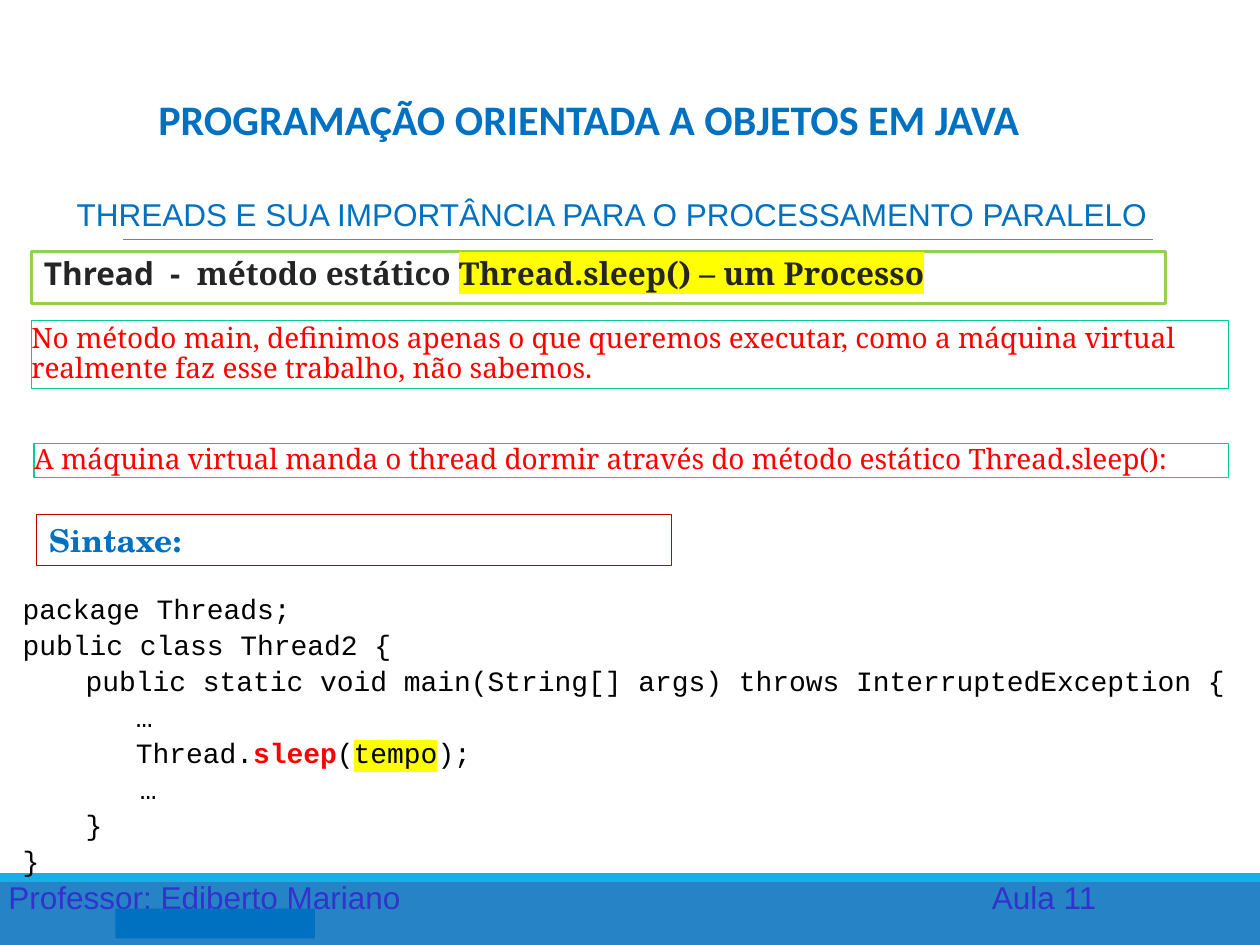
import pptx
import pptx.util
import pptx.dml.color
import pptx.enum.shapes
import pptx.enum.text
import pptx.oxml
import pptx.oxml.ns
from lxml import etree

Pt = pptx.util.Pt
ALIGN = pptx.enum.text.PP_ALIGN
ANCHOR = pptx.enum.text.MSO_ANCHOR

THEME = {
    "blue": "0070C0", "band": "2683C6", "band edge": "1CADE4", "rule": "7F7F7F",
    "footer": "3333CC", "code": "000000", "red": "FF0000", "dark": "252525",
    "teal": "00CC99", "green": "92D050", "crimson": "C00000", "marker": "FFFF00",
    "title size": 24, "heading size": 18, "body size": 16,
}


def color(name):
    return pptx.dml.color.RGBColor.from_string(THEME[name])


def add_box(place, paragraphs=(), fill=None, line=None, margins=(7.2, 3.6),
            anchor=ANCHOR.TOP, tab=None, **para_format):
    """Add a rectangle; each paragraph is a list of (text, style) spans."""
    box = slide.shapes.add_shape(
        pptx.enum.shapes.MSO_SHAPE.RECTANGLE, *map(Pt, place)
    ) if fill or line else slide.shapes.add_textbox(*map(Pt, place))
    if fill or line:
        box.shadow.inherit = False
    if fill:
        box.fill.solid()
        box.fill.fore_color.rgb = color(fill)
    else:
        box.fill.background()
    if line:
        box.line.color.rgb = color(line[0])
        box.line.width = Pt(line[1])
    else:
        box.line.fill.background()

    frame = box.text_frame
    side, end = map(Pt, margins)
    frame_format = {"word_wrap": True, "vertical_anchor": anchor,
                    "margin_left": side, "margin_right": side,
                    "margin_top": end, "margin_bottom": end}
    for key, value in frame_format.items():
        setattr(frame, key, value)

    for index, spans in enumerate(paragraphs):
        para = frame.add_paragraph() if index else frame.paragraphs[0]
        if tab:
            tabs = etree.SubElement(para._p.get_or_add_pPr(), pptx.oxml.ns.qn("a:tabLst"))
            etree.SubElement(tabs, pptx.oxml.ns.qn("a:tab"), pos=str(Pt(tab)), algn="l")
        for key, value in {"alignment": ALIGN.LEFT, **para_format}.items():
            setattr(para, key, value)
        for text, style in spans:
            span = para.add_run()
            span.text = text
            font_format = {"name": style["font"], "size": Pt(THEME[style["size"]]),
                           "bold": style.get("bold", False)}
            for key, value in font_format.items():
                setattr(span.font, key, value)
            span.font.color.rgb = color(style["color"])
            if style.get("marked"):
                highlight = etree.Element(pptx.oxml.ns.qn("a:highlight"))
                etree.SubElement(highlight, pptx.oxml.ns.qn("a:srgbClr"), val=THEME["marker"])
                span.font._element.find(pptx.oxml.ns.qn("a:solidFill")).addnext(highlight)
    return box


deck = pptx.Presentation()
deck.slide_width, deck.slide_height = Pt(720), Pt(540)
slide = deck.slides.add_slide(deck.slide_layouts[6])

# Text styles
title = {"font": "Calibri", "size": "title size", "color": "blue", "bold": True}
subtitle = {"font": "Arial", "size": "heading size", "color": "blue"}
footer = {**subtitle, "color": "footer"}
topic = {"font": "Noto Serif", "size": "heading size", "color": "dark", "bold": True}
statement = {"font": "Noto Serif", "size": "body size", "color": "red"}
syntax = {**title, "font": "TeX Gyre Schola", "size": "heading size"}
code = {"font": "Courier New", "size": "body size", "color": "code"}

# Footer band and rule under the subtitle
add_box((0, 499, 720, 41), fill="band")
add_box((0, 499, 720, 5), fill="band edge")
rule = slide.shapes.add_connector(
    pptx.enum.shapes.MSO_CONNECTOR.STRAIGHT, Pt(70.5), Pt(136.8), Pt(659), Pt(136.8))
rule.line.color.rgb = color("rule")
rule.line.width = Pt(0.5)
etree.SubElement(rule._element.spPr, pptx.oxml.ns.qn("a:effectLst"))
add_box((-2.2, 498.2, 648, 29), [[("Professor: Ediberto Mariano\tAula 11", footer)]], tab=562)
add_box((66, 519.2, 114, 17), fill="blue")

# Title and subtitle
add_box((74, 48.2, 525, 37.5), [[("PROGRAMAÇÃO ORIENTADA A OBJETOS EM JAVA", title)]],
        anchor=ANCHOR.BOTTOM, alignment=ALIGN.CENTER)
add_box((36.7, 106.5, 660, 29.5),
        [[("THREADS E SUA IMPORTÂNCIA PARA O PROCESSAMENTO PARALELO", subtitle)]],
        line_spacing=1.07)

# Code sample
add_box((5.8, 333.4, 708, 162.7), [
    [("package Threads;", code)],
    [("public class Thread2 {", code)],
    [("\tpublic static void main(String[] args) throws InterruptedException {", code)],
    [("\t   …", code)],
    [("\t   Thread.", code), ("sleep", {**code, "color": "red", "bold": True}),
     ("(", code), ("tempo", {**code, "marked": True}), (");", code)],
    [("       …", code)],
    [("\t}", code)],
    [("}", code)],
], tab=36, line_spacing=1.07)

# Framed statements
statements = [
    ((18, 183, 684, 39),
     ["No método main, definimos apenas o que queremos executar, como a máquina virtual",
      "realmente faz esse trabalho, não sabemos."]),
    ((19.5, 253.4, 682.5, 19.5),
     ["A máquina virtual manda o thread dormir através do método estático Thread.sleep():"]),
]
for place, lines in statements:
    add_box(place, [[(text, statement)] for text in lines], line=("teal", 0.75),
            margins=(0, 0), anchor=ANCHOR.MIDDLE, alignment=ALIGN.JUSTIFY, line_spacing=0.9)

# Topic and syntax headings
add_box((18, 143.8, 648, 29.5), [[
    ("Thread  -  ", {**topic, "font": "Open Sans"}),
    ("método estático ", topic),
    ("Thread.sleep() – um Processo", {**topic, "marked": True}),
]], line=("green", 1.75), line_spacing=0.9)
add_box((20.9, 294, 363, 29), [[("Sintaxe:", syntax)]], line=("crimson", 0.75))

deck.save("out.pptx")
